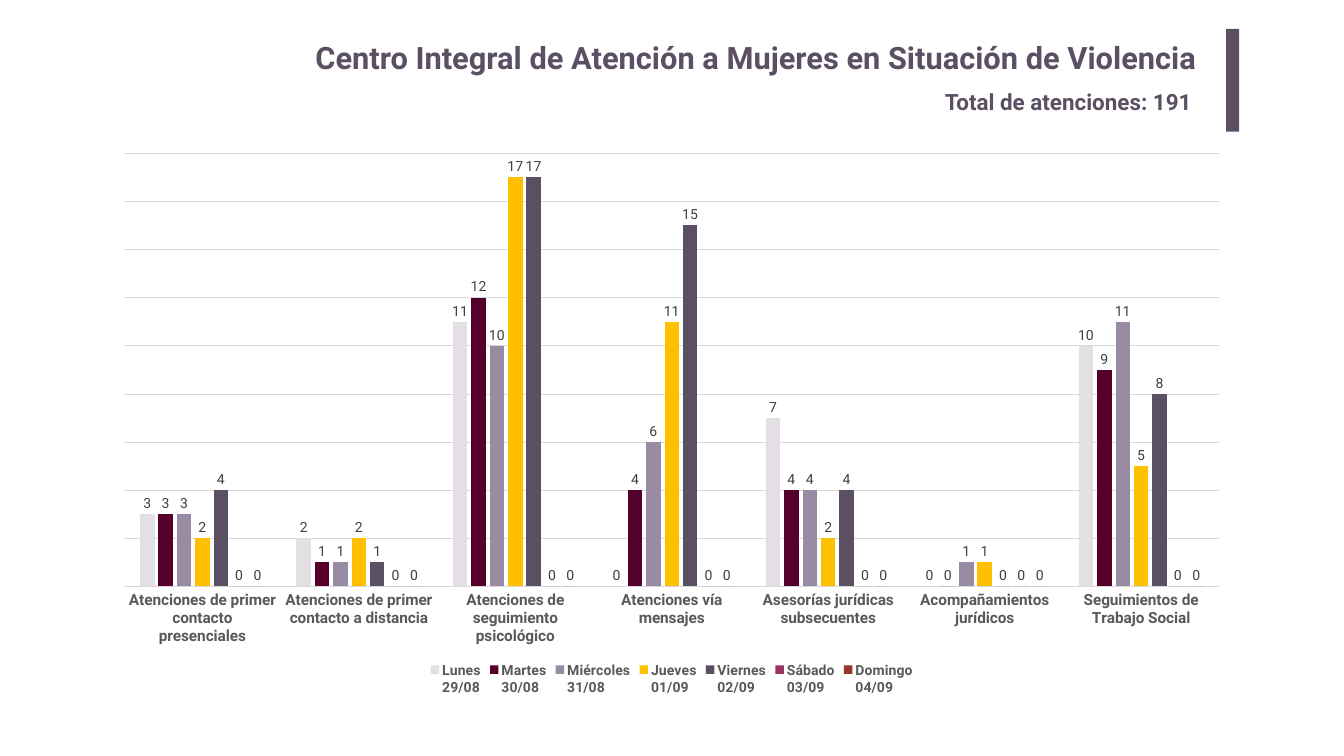
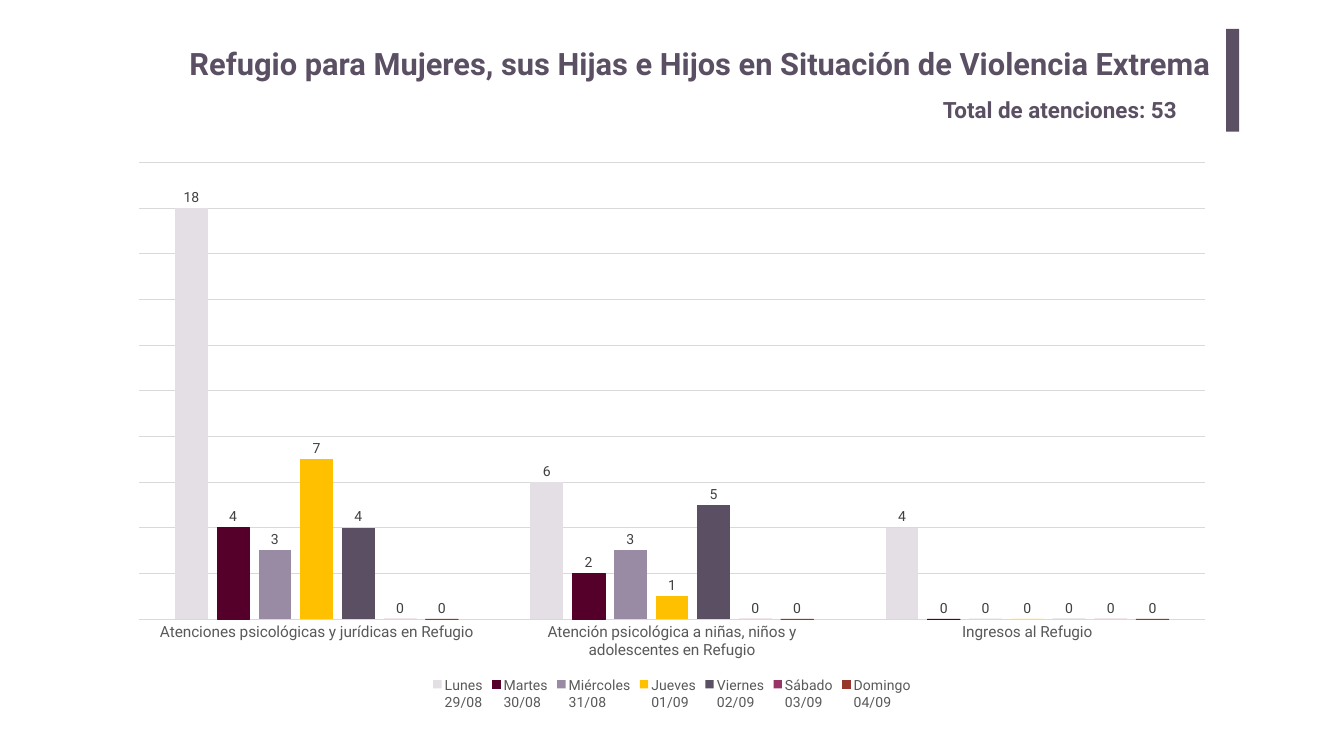
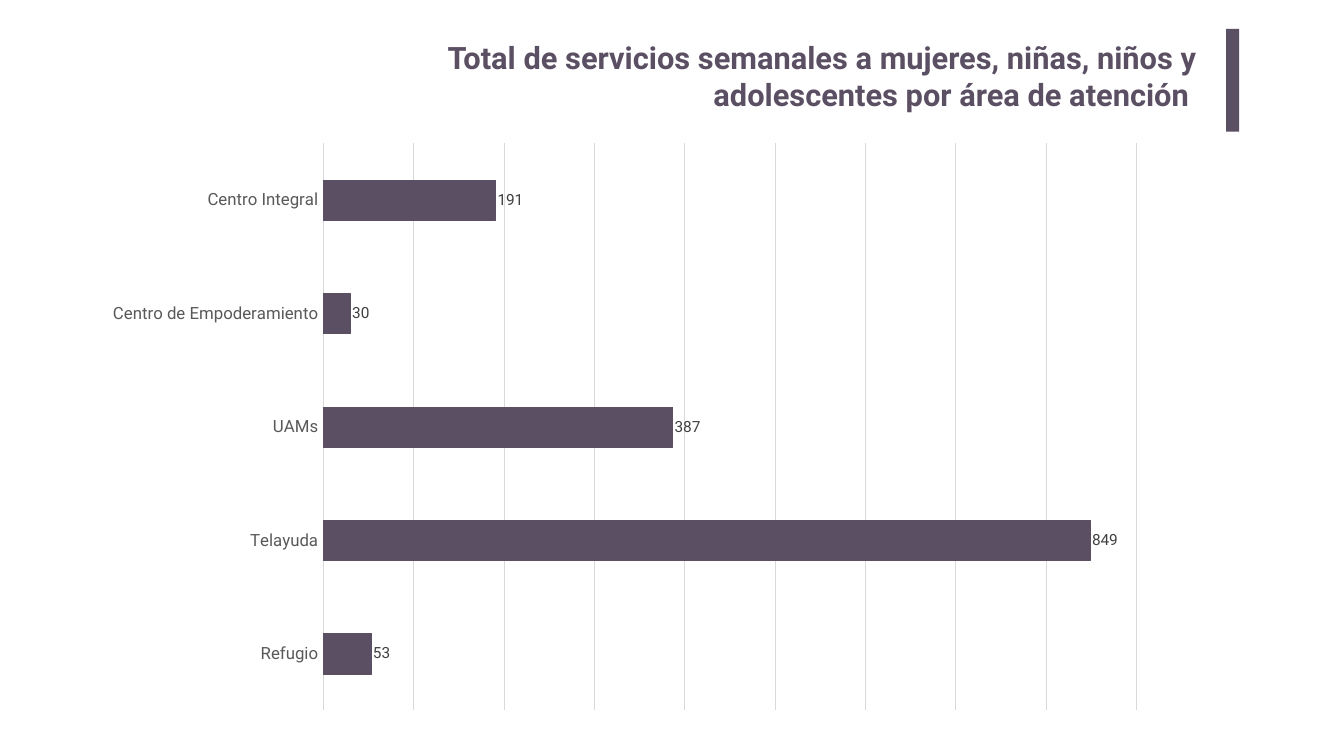
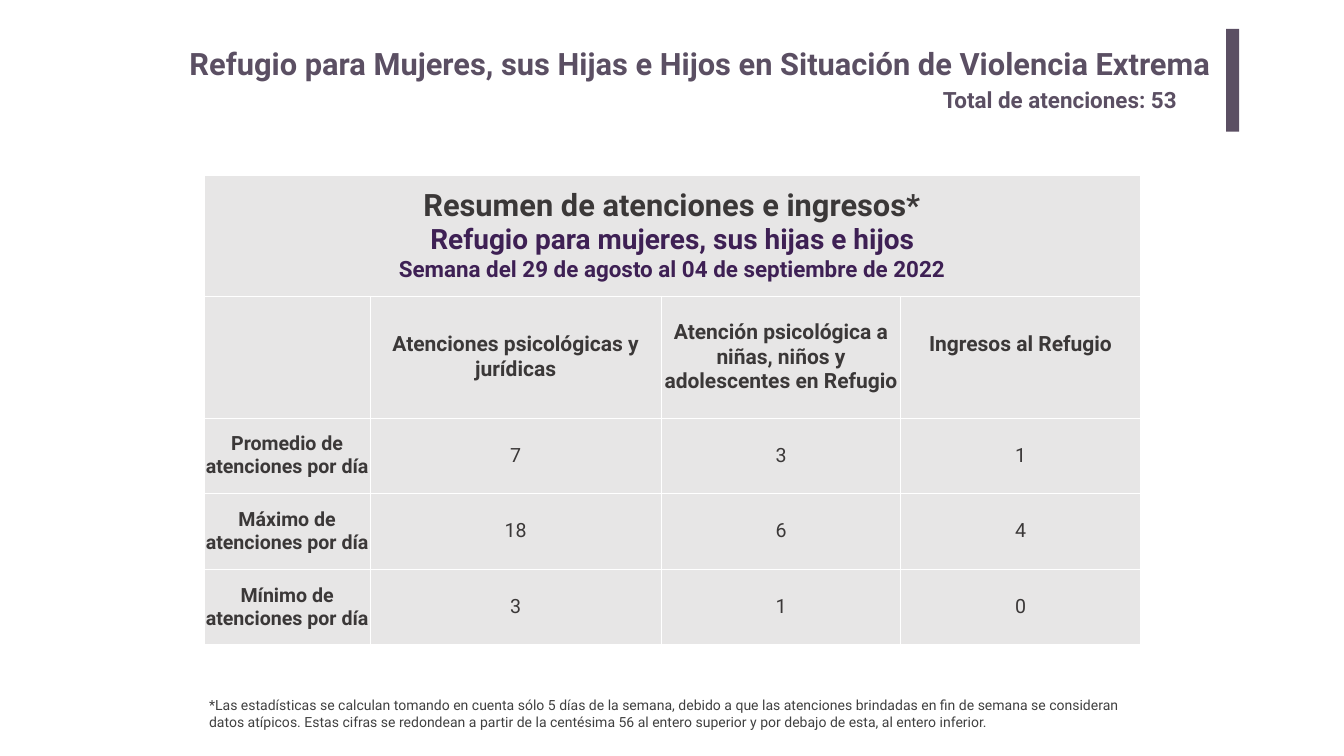
from dataclasses import dataclass
from typing import Optional

from lxml import etree
from pptx import Presentation
from pptx.chart.data import CategoryChartData
from pptx.dml.color import RGBColor
from pptx.enum.chart import XL_CHART_TYPE, XL_LABEL_POSITION, XL_LEGEND_POSITION, XL_TICK_LABEL_POSITION, XL_TICK_MARK
from pptx.enum.shapes import MSO_SHAPE
from pptx.enum.text import MSO_ANCHOR, MSO_AUTO_SIZE, PP_ALIGN
from pptx.oxml.ns import qn
from pptx.presentation import Presentation as PresentationType
from pptx.slide import Slide
from pptx.table import _Cell as Cell
from pptx.text.text import Font, TextFrame
from pptx.util import Cm, Pt

COLUMNS = XL_CHART_TYPE.COLUMN_CLUSTERED
BARS = XL_CHART_TYPE.BAR_CLUSTERED
OUTSIDE_END = XL_LABEL_POSITION.OUTSIDE_END
LEGEND_BOTTOM = XL_LEGEND_POSITION.BOTTOM
LABELS_LOW = XL_TICK_LABEL_POSITION.LOW
NO_TICK = XL_TICK_MARK.NONE
RECTANGLE = MSO_SHAPE.RECTANGLE
TOP, MIDDLE = MSO_ANCHOR.TOP, MSO_ANCHOR.MIDDLE
NO_FIT, GROW = MSO_AUTO_SIZE.NONE, MSO_AUTO_SIZE.SHAPE_TO_FIT_TEXT
LEFT, CENTER, RIGHT = PP_ALIGN.LEFT, PP_ALIGN.CENTER, PP_ALIGN.RIGHT

FONT = "Roboto"
BLACK = RGBColor(0x00, 0x00, 0x00)
WHITE = RGBColor(0xFF, 0xFF, 0xFF)
PLUM = RGBColor(0x5B, 0x4F, 0x63)
LILAC = RGBColor(0xE3, 0xDF, 0xE5)
MAROON = RGBColor(0x54, 0x00, 0x2A)
MAUVE = RGBColor(0x99, 0x8B, 0xA3)
GOLD = RGBColor(0xFF, 0xC0, 0x00)
MAGENTA = RGBColor(0x99, 0x33, 0x66)
BRICK = RGBColor(0x95, 0x37, 0x2B)
GRID_GRAY = RGBColor(0xD9, 0xD9, 0xD9)
AXIS_GRAY = RGBColor(0x59, 0x59, 0x59)
LABEL_GRAY = RGBColor(0x40, 0x40, 0x40)
CELL_GRAY = RGBColor(0xE7, 0xE6, 0xE6)
TABLE_TEXT = RGBColor(0x3B, 0x38, 0x38)
PURPLE = RGBColor(0x3E, 0x20, 0x54)


@dataclass(frozen=True)
class Box:
    left: float
    top: float
    width: float
    height: float

    def lengths(self) -> tuple[Cm, Cm, Cm, Cm]:
        return Cm(self.left), Cm(self.top), Cm(self.width), Cm(self.height)


@dataclass(frozen=True)
class TextStyle:
    size: int
    color: RGBColor
    bold: bool = False

    def apply(self, font: Font) -> None:
        font.name = FONT
        font.size = Pt(self.size)
        font.bold = self.bold
        font.color.rgb = self.color


@dataclass(frozen=True)
class Heading:
    text: str
    box: Box
    alignment: PP_ALIGN
    side_margin: float
    top_margin: float


@dataclass(frozen=True)
class Series:
    name: str
    values: tuple[int, ...]
    color: RGBColor
    outlined: bool = False


@dataclass(frozen=True)
class ChartDesign:
    chart_type: XL_CHART_TYPE
    box: Box
    categories: tuple[str, ...]
    series: tuple[Series, ...]
    gap: int
    overlap: int
    maximum: int
    unit: int
    axis_style: TextStyle
    label_style: TextStyle
    legend_style: Optional[TextStyle] = None


TITLE_STYLE = TextStyle(44, PLUM, True)
TOTAL_STYLE = TextStyle(32, PLUM, True)
NOTE_STYLE = TextStyle(20, LABEL_GRAY)
COLUMN_HEAD_STYLE = TextStyle(30, TABLE_TEXT, True)
ROW_HEAD_STYLE = TextStyle(28, TABLE_TEXT, True)
VALUE_STYLE = TextStyle(28, TABLE_TEXT)
SUMMARY_STYLES = (
    TextStyle(44, TABLE_TEXT, True),
    TextStyle(40, PURPLE, True),
    TextStyle(32, PURPLE, True),
)

ACCENT_BAR = Box(61.8, 1.45, 0.66, 5.18)
DAYS = (
    ("Lunes\n29/08", LILAC),
    ("Martes\n30/08", MAROON),
    ("Miércoles\n31/08", MAUVE),
    ("Jueves\n01/09", GOLD),
    ("Viernes\n02/09", PLUM),
    ("Sábado\n03/09", MAGENTA),
    ("Domingo\n04/09", BRICK),
)

CENTER_HEADING = Heading(
    "Centro Integral de Atención a Mujeres en Situación de Violencia",
    Box(9.3, 1.7, 51.56, 2.59), RIGHT, 0.51, 0.25)
SHELTER_HEADING = Heading(
    "Refugio para Mujeres, sus Hijas e Hijos en Situación de Violencia Extrema",
    Box(9.3, 2.13, 52.65, 2.13), LEFT, 0.25, 0.13)
SERVICES_HEADING = Heading(
    "Total de servicios semanales a mujeres, niñas, niños y adolescentes por área de atención ",
    Box(16.66, 1.7, 44.2, 5.18), RIGHT, 0.51, 0.25)


def daily_series(rows: tuple[tuple[int, ...], ...], outlined: tuple[RGBColor, ...] = ()) -> tuple[Series, ...]:
    return tuple(Series(name, values, color, color in outlined)
                 for (name, color), values in zip(DAYS, rows))


CENTER_CHART = ChartDesign(
    COLUMNS, Box(5.11, 7.16, 57.5, 28.07),
    (
        "Atenciones de primer contacto presenciales",
        "Atenciones de primer contacto a distancia",
        "Atenciones de seguimiento psicológico",
        "Atenciones vía mensajes",
        "Asesorías jurídicas subsecuentes",
        "Acompañamientos jurídicos",
        "Seguimientos de Trabajo Social",
    ),
    daily_series((
        (3, 2, 11, 0, 7, 0, 10),
        (3, 1, 12, 4, 4, 0, 9),
        (3, 1, 10, 6, 4, 1, 11),
        (2, 2, 17, 11, 2, 1, 5),
        (4, 1, 17, 15, 4, 0, 8),
        (0,) * 7,
        (0,) * 7,
    )),
    219, -27, 18, 2,
    TextStyle(22, AXIS_GRAY, True), TextStyle(20, LABEL_GRAY), TextStyle(20, AXIS_GRAY, True))

SHELTER_CHART = ChartDesign(
    COLUMNS, Box(5.89, 7.62, 55.96, 28.35),
    (
        "Atenciones psicológicas y jurídicas en Refugio",
        "Atención psicológica a niñas, niños y adolescentes en Refugio",
        "Ingresos al Refugio",
    ),
    daily_series((
        (18, 6, 4),
        (4, 2, 0),
        (3, 3, 0),
        (7, 1, 0),
        (4, 5, 0),
        (0,) * 3,
        (0,) * 3,
    ), (MAROON, BRICK)),
    219, -27, 20, 2,
    TextStyle(22, AXIS_GRAY), TextStyle(20, LABEL_GRAY), TextStyle(20, AXIS_GRAY))

SERVICES_CHART = ChartDesign(
    BARS, Box(4.62, 6.63, 53.72, 29.77),
    ("Centro Integral", "Centro de Empoderamiento", "UAMs", "Telayuda", "Refugio"),
    (Series("Series 1", (191, 30, 387, 849, 53), PLUM, True),),
    182, 0, 900, 100,
    TextStyle(24, AXIS_GRAY), TextStyle(22, LABEL_GRAY))

TABLE_BOX = Box(10.29, 8.81, 47.18, 23.68)
COLUMN_WIDTHS = (8.36, 14.68, 12.07, 12.07)
ROW_HEIGHTS = (6.1, 6.15, 3.81, 3.81, 3.81)
SUMMARY_TITLE = "\n".join((
    "Resumen de atenciones e ingresos*",
    "Refugio para mujeres, sus hijas e hijos",
    "Semana del 29 de agosto al 04 de septiembre de 2022",
))
SUMMARY_ROWS = (
    (SUMMARY_TITLE, "", "", ""),
    ("", "Atenciones psicológicas y jurídicas",
     "Atención psicológica a niñas, niños y adolescentes en Refugio", "Ingresos al Refugio"),
    ("Promedio de atenciones por día", "7", "3", "1"),
    ("Máximo de atenciones por día", "18", "6", "4"),
    ("Mínimo de atenciones por día", "3", "1", "0"),
)
NOTE = (
    "*Las estadísticas se calculan tomando en cuenta sólo 5 días de la semana, debido a que las "
    "atenciones brindadas en fin de semana se consideran datos atípicos. Estas cifras se redondean "
    "a partir de la centésima 56 al entero superior y por debajo de esta, al entero inferior."
)


def write_text(text_frame: TextFrame, text: str, styles: tuple[TextStyle, ...], alignment: PP_ALIGN) -> None:
    text_frame.text = text
    for paragraph, style in zip(text_frame.paragraphs, styles):
        paragraph.alignment = alignment
        for run in paragraph.runs:
            style.apply(run.font)


def add_text(slide: Slide, text: str, box: Box, style: TextStyle) -> None:
    text_frame = slide.shapes.add_textbox(*box.lengths()).text_frame
    text_frame.word_wrap = True
    text_frame.auto_size = GROW
    write_text(text_frame, text, (style,), LEFT)


def add_headed_slide(presentation: PresentationType, heading: Heading) -> Slide:
    slide = presentation.slides.add_slide(presentation.slide_layouts[5])
    title = slide.shapes.title
    title.left, title.top, title.width, title.height = heading.box.lengths()
    text_frame = title.text_frame
    text_frame.word_wrap = True
    text_frame.auto_size = NO_FIT
    text_frame.vertical_anchor = TOP
    text_frame.margin_left = text_frame.margin_right = Cm(heading.side_margin)
    text_frame.margin_top = text_frame.margin_bottom = Cm(heading.top_margin)
    write_text(text_frame, heading.text, (TITLE_STYLE,), heading.alignment)
    bar = slide.shapes.add_shape(RECTANGLE, *ACCENT_BAR.lengths())
    bar.shadow.inherit = False
    bar.fill.solid()
    bar.fill.fore_color.rgb = PLUM
    bar.line.fill.background()
    return slide


def add_total(slide: Slide, total: int, left: float, top: float) -> None:
    add_text(slide, f"Total de atenciones: {total}", Box(left, top, 13.55, 1.63), TOTAL_STYLE)


def add_chart(slide: Slide, design: ChartDesign) -> None:
    data = CategoryChartData()
    data.categories = design.categories
    for series in design.series:
        data.add_series(series.name, series.values)
    chart = slide.shapes.add_chart(design.chart_type, *design.box.lengths(), data).chart
    TextStyle(10, BLACK).apply(chart.font)
    chart.has_title = False
    chart.has_legend = design.legend_style is not None
    if design.legend_style:
        chart.legend.position = LEGEND_BOTTOM
        chart.legend.include_in_layout = False
        design.legend_style.apply(chart.legend.font)

    category_axis = chart.category_axis
    category_axis.major_tick_mark = category_axis.minor_tick_mark = NO_TICK
    category_axis.tick_label_position = LABELS_LOW
    category_axis.has_major_gridlines = False
    category_axis.reverse_order = design.chart_type == BARS
    design.axis_style.apply(category_axis.tick_labels.font)
    value_axis = chart.value_axis
    value_axis.visible = False
    value_axis.has_major_gridlines = True
    value_axis.minimum_scale = 0
    value_axis.maximum_scale = design.maximum
    value_axis.major_unit = design.unit
    for line in (category_axis.format.line, value_axis.major_gridlines.format.line):
        line.color.rgb = GRID_GRAY
        line.width = Pt(0.75)

    plot = chart.plots[0]
    plot.vary_by_categories = False
    plot.gap_width = design.gap
    plot.overlap = design.overlap
    for drawn, series in zip(plot.series, design.series):
        drawn.invert_if_negative = False
        drawn.format.fill.solid()
        drawn.format.fill.fore_color.rgb = series.color
        if series.outlined:
            drawn.format.line.color.rgb = series.color
            drawn.format.line.width = Pt(0.75)
        else:
            drawn.format.line.fill.background()
        labels = drawn.data_labels
        labels.show_value = True
        labels.position = OUTSIDE_END
        design.label_style.apply(labels.font)


def style_cell(cell: Cell) -> None:
    properties = cell._tc.get_or_add_tcPr()
    for side in ("a:lnL", "a:lnR", "a:lnT", "a:lnB"):
        border = etree.SubElement(properties, qn(side), w=str(Pt(1)))
        fill = etree.SubElement(border, qn("a:solidFill"))
        etree.SubElement(fill, qn("a:srgbClr"), val=str(WHITE))
    cell.fill.solid()
    cell.fill.fore_color.rgb = CELL_GRAY
    cell.vertical_anchor = MIDDLE
    cell.margin_left = cell.margin_right = cell.margin_top = cell.margin_bottom = 0


def cell_styles(row: int, column: int) -> tuple[TextStyle, ...]:
    if row == 0:
        return SUMMARY_STYLES
    if row == 1:
        return (COLUMN_HEAD_STYLE,)
    return (VALUE_STYLE if column else ROW_HEAD_STYLE,)


def add_summary_table(slide: Slide) -> None:
    table = slide.shapes.add_table(len(ROW_HEIGHTS), len(COLUMN_WIDTHS), *TABLE_BOX.lengths()).table
    table.first_row = table.horz_banding = False
    for column, width in zip(table.columns, COLUMN_WIDTHS):
        column.width = Cm(width)
    for row, height in zip(table.rows, ROW_HEIGHTS):
        row.height = Cm(height)
    for row_index, texts in enumerate(SUMMARY_ROWS):
        for column_index, text in enumerate(texts):
            cell = table.cell(row_index, column_index)
            style_cell(cell)
            if text:
                write_text(cell.text_frame, text, cell_styles(row_index, column_index), CENTER)
    table.cell(0, 0).merge(table.cell(0, len(COLUMN_WIDTHS) - 1))
    table.cell(1, 3).margin_bottom = Cm(1.27)


def main() -> None:
    presentation = Presentation()
    presentation.slide_width = Cm(67.74)
    presentation.slide_height = Cm(38.1)

    slide = add_headed_slide(presentation, CENTER_HEADING)
    add_total(slide, 191, 47.37, 4.34)
    add_chart(slide, CENTER_CHART)

    slide = add_headed_slide(presentation, SHELTER_HEADING)
    add_total(slide, 53, 47.27, 4.7)
    add_chart(slide, SHELTER_CHART)

    slide = add_headed_slide(presentation, SERVICES_HEADING)
    add_chart(slide, SERVICES_CHART)

    slide = add_headed_slide(presentation, SHELTER_HEADING)
    add_total(slide, 53, 47.27, 4.19)
    add_summary_table(slide)
    add_text(slide, NOTE, Box(10.29, 34.98, 47.14, 1.96), NOTE_STYLE)

    presentation.save("out.pptx")


if __name__ == "__main__":
    main()
